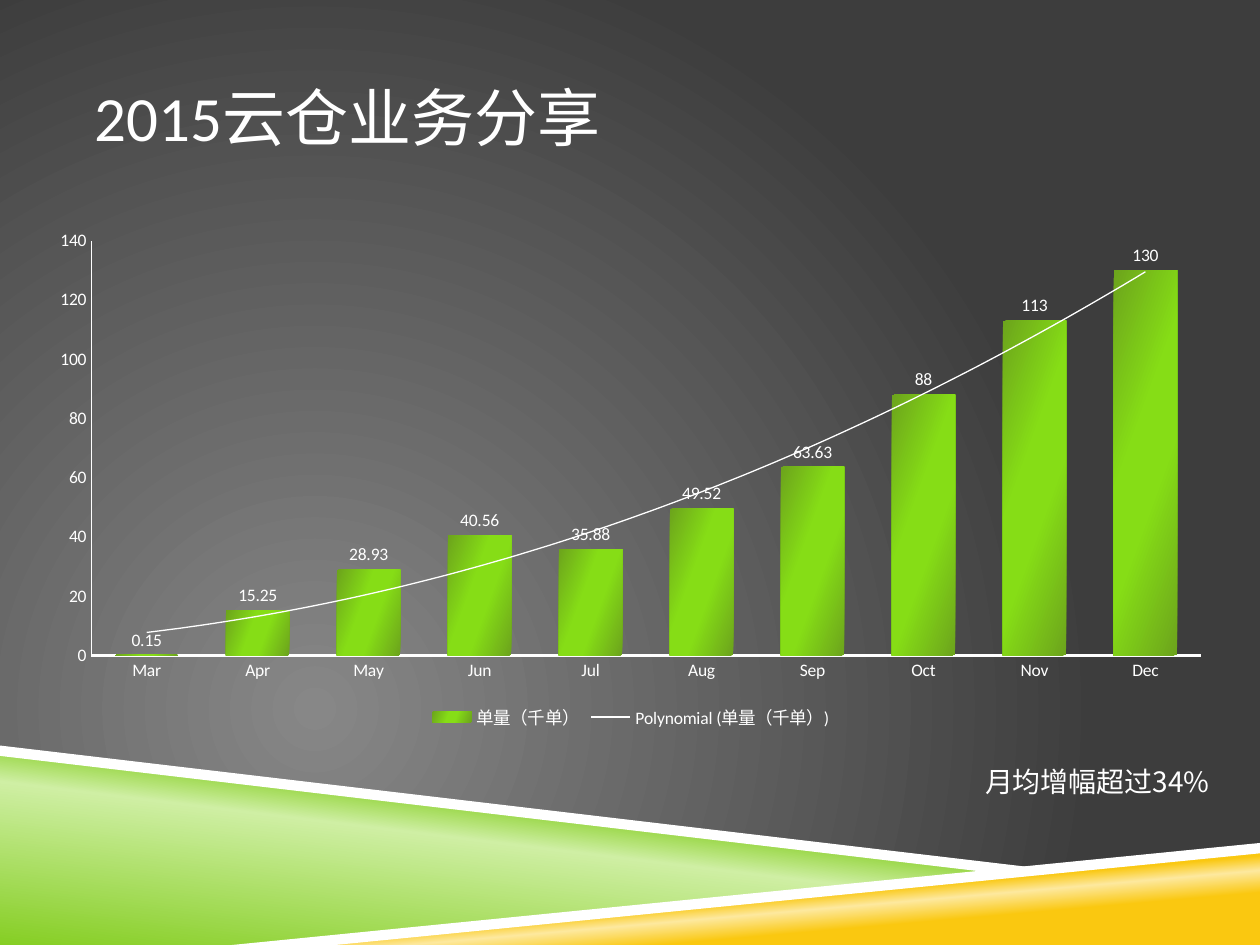
import dataclasses

import lxml.etree
import pptx
import pptx.chart.data
import pptx.dml.color
import pptx.enum.chart
import pptx.enum.text
import pptx.oxml
import pptx.oxml.ns
import pptx.util

WIDTH = pptx.util.Inches(10)
HEIGHT = pptx.util.Inches(7.5)


@dataclasses.dataclass(frozen=True)
class Theme:
    white: str = "FFFFFF"
    background: tuple = ((0, "878787"), (100, "3D3D3D"))
    green: tuple = ((0, "86CE24"), (52, "CFEFA4"), (66, "86CE24"))
    yellow: tuple = ((28, "FAC810"), (40, "FDE99F"), (48, "FAC810"))
    bars: tuple = ((0, "6CA41C"), (40, "86DD16"), (60, "86DD16"), (100, "6CA41C"))
    latin: str = "Calibri"
    chinese: str = "Noto Sans CJK SC"
    title_size: int = 36
    note_size: int = 16
    chart_size: int = 10


THEME = Theme()

MONTHS = ("Mar", "Apr", "May", "Jun", "Jul", "Aug", "Sep", "Oct", "Nov", "Dec")
ORDERS = (0.15, 15.25, 28.93, 40.56, 35.88, 49.52, 63.63, 88, 113, 130)


def across(percent):
    return round(WIDTH * percent / 100)


def down(percent):
    return round(HEIGHT * percent / 100)


def box(left, top, width, height):
    """Turn percentages of the slide into lengths."""
    return across(left), down(top), across(width), down(height)


def color(value):
    return pptx.dml.color.RGBColor.from_string(value)


def set_gradient(fill, element, stops, angle=None):
    """Fill with the stops: linear at a clockwise angle, or radial without one."""
    fill.gradient()
    qn = pptx.oxml.ns.qn
    gradient = element.find(".//" + qn("a:gradFill"))
    for child in list(gradient):
        gradient.remove(child)
    stop_list = lxml.etree.SubElement(gradient, qn("a:gsLst"))
    for position, value in stops:
        stop = lxml.etree.SubElement(stop_list, qn("a:gs"), pos=str(position * 1000))
        lxml.etree.SubElement(stop, qn("a:srgbClr"), val=value)
    if angle is None:
        radial = lxml.etree.SubElement(gradient, qn("a:path"), path="circle")
        lxml.etree.SubElement(radial, qn("a:fillToRect"),
                              l="50000", t="100000", r="100000", b="50000")
    else:
        lxml.etree.SubElement(gradient, qn("a:lin"), ang=str(angle * 60000), scaled="0")


def add_band(slide, points, stops=None, angle=None):
    """Draw a closed outline, white unless gradient stops are given."""
    start, *others = [(across(x), down(y)) for x, y in points]
    builder = slide.shapes.build_freeform(*start)
    builder.add_line_segments(others, close=True)
    shape = builder.convert_to_shape()
    shape.shadow.inherit = False
    shape.line.fill.background()
    if stops:
        set_gradient(shape.fill, shape._element.spPr, stops, angle)
    else:
        shape.fill.solid()
        shape.fill.fore_color.rgb = color(THEME.white)


def add_text(slide, text, bounds, *, size, font, anchor="TOP", side_inset=0.1,
             grow=False):
    shape = slide.shapes.add_textbox(*bounds)
    frame = shape.text_frame
    frame.word_wrap = True
    frame.margin_left = frame.margin_right = pptx.util.Inches(side_inset)
    frame.vertical_anchor = pptx.enum.text.MSO_ANCHOR[anchor]
    if grow:
        frame.auto_size = pptx.enum.text.MSO_AUTO_SIZE.SHAPE_TO_FIT_TEXT
    run = frame.paragraphs[0].add_run()
    run.text = text
    run.font.size = pptx.util.Pt(size)
    run.font.name = font
    run.font.color.rgb = color(THEME.white)


def add_trend(series):
    """Add a quadratic trend line to the series."""
    trend = pptx.oxml.parse_xml(
        f'<c:trendline {pptx.oxml.ns.nsdecls("c", "a")}>'
        f'<c:spPr><a:ln w="9525"><a:solidFill><a:srgbClr val="{THEME.white}"/>'
        '</a:solidFill></a:ln></c:spPr><c:trendlineType val="poly"/>'
        '<c:order val="2"/><c:dispRSqr val="0"/><c:dispEq val="0"/></c:trendline>')
    series._element.find(pptx.oxml.ns.qn("c:cat")).addprevious(trend)


def add_order_chart(slide, bounds):
    data = pptx.chart.data.CategoryChartData()
    data.categories = MONTHS
    data.add_series("单量（千单）", ORDERS)
    kinds = pptx.enum.chart
    chart = slide.shapes.add_chart(
        kinds.XL_CHART_TYPE.COLUMN_CLUSTERED, *bounds, data).chart
    chart.has_title = False
    chart.font.size = pptx.util.Pt(THEME.chart_size)
    chart.font.name = THEME.latin
    chart.font.color.rgb = color(THEME.white)
    chart.has_legend = True
    chart.legend.position = kinds.XL_LEGEND_POSITION.BOTTOM
    chart.legend.include_in_layout = False

    # Axes
    for axis in (chart.category_axis, chart.value_axis):
        axis.has_major_gridlines = False
        axis.major_tick_mark = kinds.XL_TICK_MARK.NONE
        axis.minor_tick_mark = kinds.XL_TICK_MARK.NONE
        axis.format.line.color.rgb = color(THEME.white)
        axis.format.line.width = pptx.util.Pt(0.75)
    chart.category_axis.format.line.width = pptx.util.Pt(1.5)

    # Bars, labels and trend
    plot = chart.plots[0]
    plot.gap_width = 75
    plot.vary_by_categories = False
    series = plot.series[0]
    set_gradient(series.format.fill, series._element, THEME.bars, 20)
    labels = series.data_labels
    labels.show_value = True
    labels.position = kinds.XL_LABEL_POSITION.OUTSIDE_END
    add_trend(series)


def main():
    presentation = pptx.Presentation()
    presentation.slide_width = WIDTH
    presentation.slide_height = HEIGHT
    slide = presentation.slides.add_slide(presentation.slide_layouts[6])

    # Background and the bands along the bottom
    set_gradient(slide.background.fill, slide._element, THEME.background)
    add_band(slide, [(0, 79.6), (79.2, 92.3), (20, 100), (0, 100)], THEME.green, 277)
    add_band(slide, [(19.8, 100), (100, 89.6), (100, 100)], THEME.yellow, 265)
    add_band(slide, [(0, 78.9), (0, 80), (79, 92.4), (83.2, 92)])
    add_band(slide, [(100, 89.2), (18.4, 100), (26.6, 100), (100, 90.3)])

    # Title, chart and remark
    add_text(slide, "2015云仓业务分享", box(7.5, 4, 85, 16.67), size=THEME.title_size,
             font=THEME.latin, anchor="MIDDLE", side_inset=0)
    add_order_chart(slide, box(2.9, 23.33, 94.3, 54.4))
    add_text(slide, "月均增幅超过34%", box(77.2, 80.27, 20, 4.93),
             size=THEME.note_size, font=THEME.chinese, grow=True)

    presentation.save("out.pptx")


if __name__ == "__main__":
    main()
